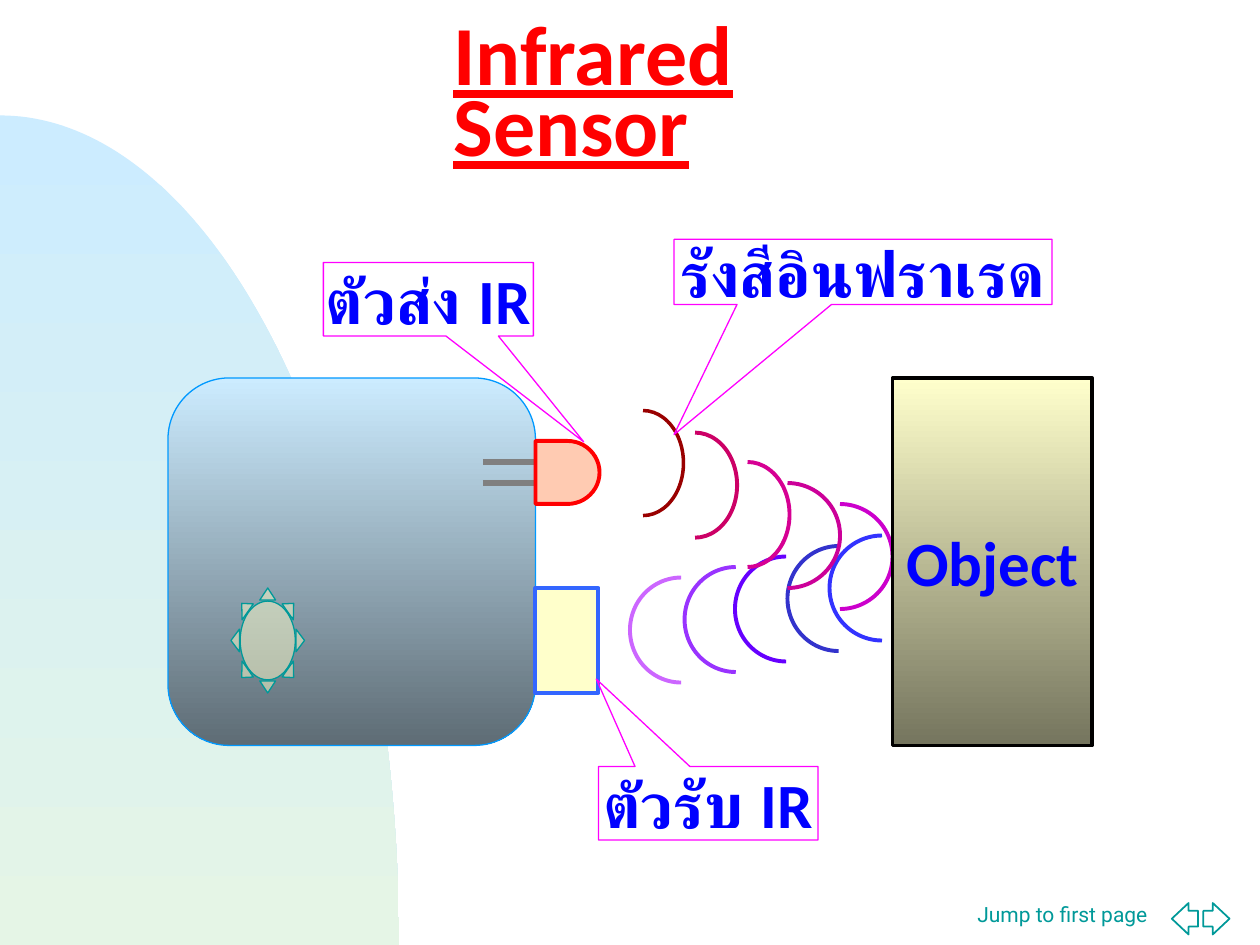
from dataclasses import dataclass
from math import cos, pi, sin

from lxml import etree
from pptx import Presentation
from pptx.dml.color import RGBColor
from pptx.enum.shapes import MSO_CONNECTOR, MSO_SHAPE
from pptx.enum.text import MSO_ANCHOR, PP_ALIGN
from pptx.oxml.ns import qn
from pptx.util import Inches, Pt

LINE = MSO_CONNECTOR.STRAIGHT
ARC, RECT, CALLOUT = MSO_SHAPE.ARC, MSO_SHAPE.RECTANGLE, MSO_SHAPE.RECTANGULAR_CALLOUT
ROUNDED, DELAY, SUN = (MSO_SHAPE.FLOWCHART_ALTERNATE_PROCESS,
                       MSO_SHAPE.FLOWCHART_DELAY, MSO_SHAPE.SUN)
LEFT_ARROW, RIGHT_ARROW = MSO_SHAPE.LEFT_ARROW, MSO_SHAPE.RIGHT_ARROW
TOP, MIDDLE = MSO_ANCHOR.TOP, MSO_ANCHOR.MIDDLE
LEFT, CENTER = PP_ALIGN.LEFT, PP_ALIGN.CENTER


@dataclass(frozen=True)
class Theme:
    font: str = "Calibri"
    footer_font: str = "Roboto"
    title_size: int = 48
    label_size: int = 36
    footer_size: int = 12
    title: str = "FF0000"
    label: str = "0000FF"
    teal: str = "009999"
    callout: str = "FF00FF"
    pin: str = "808080"
    backdrop: tuple = ("CCECFF", "E5F5E6")
    body: tuple = ("CCECFF", "5E6C75")
    object: tuple = ("FFFFCC", "75755E")


T = Theme()
COLS, ROWS = 120, 90
CELL = Inches(10) / COLS
rgb = RGBColor.from_string


def style(s, fill=None, line=None, width=0.75, alpha=None):
    """Fill is None, one colour, or a (top, bottom) pair for a gradient."""
    s.shadow.inherit = False
    if fill is None:
        s.fill.background()
    elif isinstance(fill, tuple):
        s.fill.gradient()
        s.fill.gradient_angle = 270
        for stop, color in zip(s.fill.gradient_stops, fill):
            stop.color.rgb = rgb(color)
    else:
        s.fill.solid()
        s.fill.fore_color.rgb = rgb(fill)
        if alpha:
            color = s._element.spPr.find(qn("a:solidFill"))[0]
            etree.SubElement(color, qn("a:alpha"), val=str(alpha * 1000))
    if line:
        s.line.color.rgb = rgb(line)
        s.line.width = Pt(width)
    else:
        s.line.fill.background()


def write(s, text, size=T.label_size, color=T.label, font=T.font, bold=True,
          underline=False, align=CENTER, anchor=MIDDLE, wrap=False, spacing=1.0):
    tf = s.text_frame
    tf.word_wrap = wrap
    tf.vertical_anchor = anchor
    tf.margin_left = tf.margin_right = Inches(0.1)
    tf.margin_top = tf.margin_bottom = Inches(0.05)
    p = tf.paragraphs[0]
    p.alignment = align
    p.line_spacing = spacing
    r = p.add_run()
    r.text = text
    r.font.size, r.font.name = Pt(size), font
    r.font.bold, r.font.underline = bold, underline
    r.font.color.rgb = rgb(color)


prs = Presentation()
prs.slide_width, prs.slide_height = int(COLS * CELL), int(ROWS * CELL)
shapes = prs.slides.add_slide(prs.slide_layouts[6]).shapes

# Backdrop: a quarter ellipse rising from the bottom left corner
rx, ry, steps = 38 * CELL, 79 * CELL, 90
bottom = ROWS * CELL
curve = [(rx * sin(i * pi / 2 / steps), bottom - ry * cos(i * pi / 2 / steps))
         for i in range(steps + 1)]
outline = shapes.build_freeform(0, bottom)
outline.add_line_segments(curve)
style(outline.convert_to_shape(), T.backdrop)

# Footer
s = shapes.add_textbox(*(int(v * CELL) for v in (91.9, 85.3, 20, 5.5)))
write(s, "Jump to first page", size=T.footer_size, color=T.teal, font=T.footer_font,
      bold=False, align=LEFT, anchor=TOP, wrap=True)
for kind, x in ((LEFT_ARROW, 111.6), (RIGHT_ARROW, 114.6)):
    s = shapes.add_shape(kind, *(int(v * CELL) for v in (x, 86, 2.5, 3)))
    s.adjustments[0], s.adjustments[1] = 0.5, 0.64
    style(s, "FFFFFF", T.teal, 1)

# Title
s = shapes.add_textbox(*(int(v * CELL) for v in (42, 5, 46, 9)))
write(s, "Infrared Sensor", size=T.title_size, color=T.title, underline=True,
      align=LEFT, wrap=True, spacing=0.7)

# Sensor body
s = shapes.add_shape(ROUNDED, *(int(v * CELL) for v in (16, 36, 35, 35)))
style(s, T.body, "0099FF")

# Waves: column, row, width, colour, line width; all ten rows high
reflected = [(60, 55, 9.75, "CC66FF", 2.25), (79, 51, 10, "3333FF", 2.25),
             (65.2, 54, 9.75, "9933FF", 2.25), (70, 53, 9.75, "6600FF", 2.25),
             (75, 52, 9.75, "3333CC", 2.25)]
emitted = [(57.4, 39.1, 7.7, "990000", 2), (62.2, 41.2, 8, "CC0066", 2.25),
           (75, 48, 10, "CC00CC", 2.25), (67.2, 44, 8, "D60093", 2.25),
           (70, 46, 10, "CC0099", 2.25)]
DEGREE = 0.6  # adjustment units per degree
for waves, start, end in ((reflected, 90, 270), (emitted, 270, 90)):
    for x, y, w, color, width in waves:
        s = shapes.add_shape(ARC, *(int(v * CELL) for v in (x, y, w, 10)))
        s.adjustments[0], s.adjustments[1] = start * DEGREE, end * DEGREE
        style(s, line=color, width=width)

# Emitter pins
for y in (44, 46):
    pin = shapes.add_connector(LINE, *(int(v * CELL) for v in (46, y, 51, y)))
    pin.line.color.rgb = rgb(T.pin)
    pin.line.width = Pt(3)
    etree.SubElement(pin._element.spPr, qn("a:effectLst"))

# Object
s = shapes.add_shape(RECT, *(int(v * CELL) for v in (85, 36, 19, 35)))
style(s, T.object, "010000", 2)
write(s, "Object")

# Receiver, emitter and lamp
for kind, box, fill, line, width in (
        (RECT, (51, 56, 6, 10), "FFFF99", "3366FF", 2.25),
        (DELAY, (51, 42, 6.1, 6), "FF9966", "FF0000", 2.25),
        (SUN, (22, 56, 7, 10), "FFFFCC", T.teal, 0.75)):
    s = shapes.add_shape(kind, *(int(v * CELL) for v in box))
    style(s, fill, line, width, alpha=50)
    if kind == SUN:
        s.adjustments[0] = 0.125

# Callouts: box, then the tip as shares of the box from its centre
for text, box, tip in (
        ("รังสีอินฟราเรด", (64.2, 22.8, 36, 6.2), (-0.5, 2.5)),
        ("ตัวรับ IR", (57, 73, 20.9, 7), (-0.51, -1.69)),
        ("ตัวส่ง IR", (30.8, 25, 20, 7), (0.74, 1.94))):
    s = shapes.add_shape(CALLOUT, *(int(v * CELL) for v in box))
    s.adjustments[0], s.adjustments[1] = tip
    style(s, line=T.callout)
    write(s, text)

prs.save("out.pptx")
